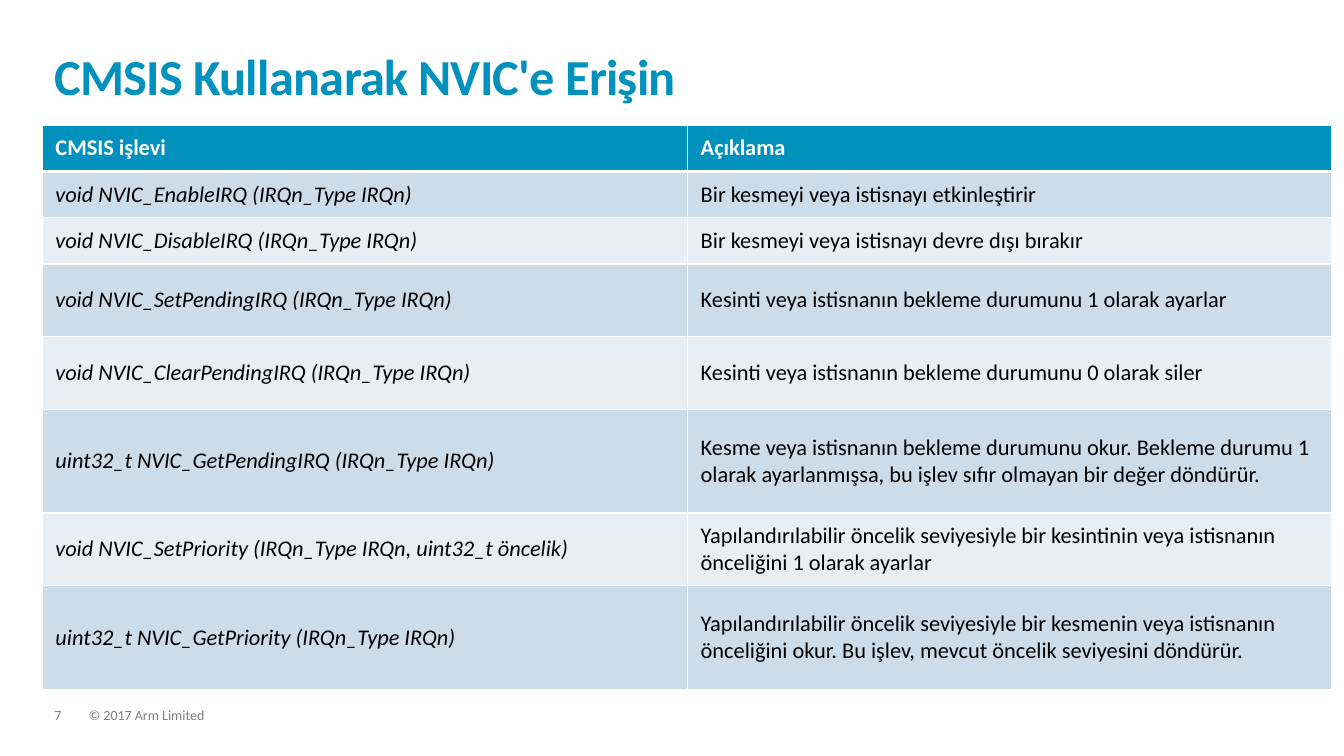
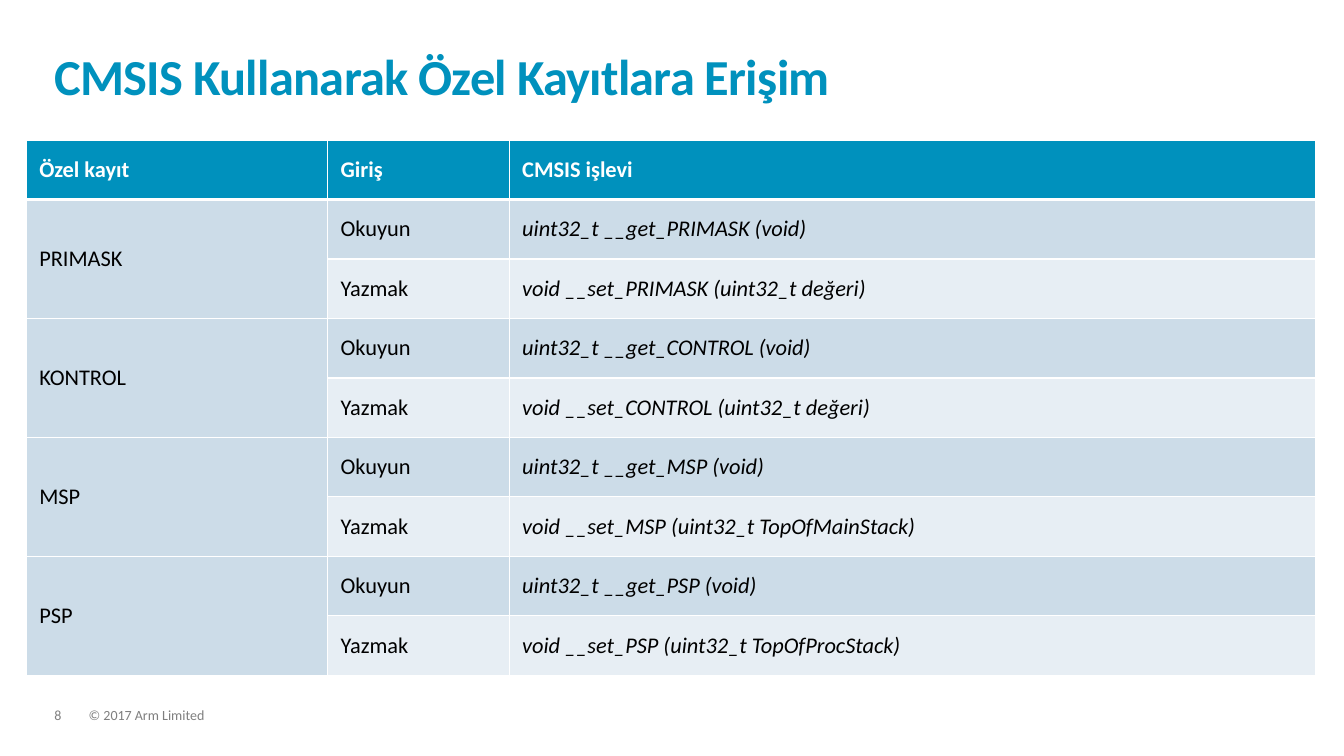
import pptx
import pptx.dml.color
import pptx.enum.text
import pptx.oxml.ns
import pptx.util
from lxml import etree

RGB = pptx.dml.color.RGBColor
ANCHOR = pptx.enum.text.MSO_ANCHOR
BLUE = RGB(0x00, 0x91, 0xBD)
BAND_DARK = RGB(0xCC, 0xDC, 0xE8)
BAND_LIGHT = RGB(0xE7, 0xEE, 0xF4)
GREY = RGB(0x7F, 0x7F, 0x7F)
BLACK = RGB(0x00, 0x00, 0x00)
WHITE = RGB(0xFF, 0xFF, 0xFF)
FONT = "Calibri"
PX = 9144
SLIDE_BOX = (0, 0, 1333, 750)
COPYRIGHT = "© 2017 Arm Limited"

NVIC_ROWS = [
    ("CMSIS işlevi", "Açıklama"),
    ("void NVIC_EnableIRQ (IRQn_Type IRQn)", "Bir kesmeyi veya istisnayı etkinleştirir"),
    ("void NVIC_DisableIRQ (IRQn_Type IRQn)", "Bir kesmeyi veya istisnayı devre dışı bırakır"),
    ("void NVIC_SetPendingIRQ (IRQn_Type IRQn)",
     "Kesinti veya istisnanın bekleme durumunu 1 olarak ayarlar"),
    ("void NVIC_ClearPendingIRQ (IRQn_Type IRQn)",
     "Kesinti veya istisnanın bekleme durumunu 0 olarak siler"),
    ("uint32_t NVIC_GetPendingIRQ (IRQn_Type IRQn)",
     "Kesme veya istisnanın bekleme durumunu okur. Bekleme durumu 1 olarak "
     "ayarlanmışsa, bu işlev sıfır olmayan bir değer döndürür."),
    ("void NVIC_SetPriority (IRQn_Type IRQn, uint32_t öncelik)",
     "Yapılandırılabilir öncelik seviyesiyle bir kesintinin veya istisnanın "
     "önceliğini 1 olarak ayarlar"),
    ("uint32_t NVIC_GetPriority (IRQn_Type IRQn)",
     "Yapılandırılabilir öncelik seviyesiyle bir kesmenin veya istisnanın "
     "önceliğini okur. Bu işlev, mevcut öncelik seviyesini döndürür."),
]
REGISTER_HEADER = ("Özel kayıt", "Giriş", "CMSIS işlevi")
REGISTERS = [
    ("PRIMASK", "uint32_t __get_PRIMASK (void)", "void __set_PRIMASK (uint32_t değeri)"),
    ("KONTROL", "uint32_t __get_CONTROL (void)", "void __set_CONTROL (uint32_t değeri)"),
    ("MSP", "uint32_t __get_MSP (void)", "void __set_MSP (uint32_t TopOfMainStack)"),
    ("PSP", "uint32_t __get_PSP (void)", "void __set_PSP (uint32_t TopOfProcStack)"),
]


def px(n):
    """Turn px into EMU."""
    return pptx.util.Emu(n * PX)


def put_text(tf, text, size=16, color=BLACK, bold=False, italic=False,
             line=None, after=None, spacing=None):
    """Write one formatted paragraph into a text frame."""
    p = tf.paragraphs[0]
    if line is not None:
        p.line_spacing = line
    if after is not None:
        p.space_after = pptx.util.Pt(after)
    r = p.add_run()
    r.text = text
    r.font.name = FONT
    r.font.size = pptx.util.Pt(size)
    r.font.bold = bold
    r.font.italic = italic
    r.font.color.rgb = color
    if spacing is not None:
        r.font._element.set("spc", str(int(spacing * 100)))


def add_text(s, box, text, anchor=ANCHOR.TOP, **fmt):
    """Add a text box without margins."""
    sp = s.shapes.add_textbox(*map(px, box))
    tf = sp.text_frame
    tf.word_wrap = True
    tf.margin_left = tf.margin_top = tf.margin_right = tf.margin_bottom = 0
    tf.vertical_anchor = anchor
    put_text(tf, text, **fmt)


def set_borders(cell, top=1, bottom=1):
    """Give a cell white borders, with widths in points."""
    tc_pr = cell._tc.get_or_add_tcPr()
    for side, width in (("L", 1), ("R", 1), ("T", top), ("B", bottom)):
        ln = etree.SubElement(tc_pr, pptx.oxml.ns.qn("a:ln" + side),
                              w=str(pptx.util.Pt(width)))
        fill = etree.SubElement(ln, pptx.oxml.ns.qn("a:solidFill"))
        etree.SubElement(fill, pptx.oxml.ns.qn("a:srgbClr"), val=str(WHITE))


def add_grid(s, left, top, widths, heights, rows, code_col):
    """Add a banded table with a header row and one column of code."""
    table = s.shapes.add_table(len(rows), len(widths), px(left), px(top),
                               px(sum(widths)), px(sum(heights))).table
    table.horz_banding = False
    for col, width in zip(table.columns, widths):
        col.width = px(width)
    for row, height in zip(table.rows, heights):
        row.height = px(height)
    for i, texts in enumerate(rows):
        header = i == 0
        band = BLUE if header else (BAND_LIGHT, BAND_DARK)[i % 2]
        for j, text in enumerate(texts):
            cell = table.cell(i, j)
            cell.margin_left = cell.margin_right = px(13)
            cell.margin_top = cell.margin_bottom = px(5)
            cell.vertical_anchor = ANCHOR.MIDDLE
            set_borders(cell, top=3 if i == 1 else 1, bottom=3 if header else 1)
            cell.fill.solid()
            cell.fill.fore_color.rgb = band
            if text:
                put_text(cell.text_frame, text, color=WHITE if header else BLACK,
                         bold=header, italic=not header and j == code_col)
    return table


def add_footer(s, box, number):
    """Place the slide number and the copyright line."""
    left, top, width, height = box
    number_width = 34
    fmt = dict(size=10, color=GREY, line=0.9, after=6)
    add_text(s, (left, top, number_width, height), str(number), **fmt)
    add_text(s, (left + number_width, top, width - number_width, height), COPYRIGHT, **fmt)


def add_frame(prs, box, title, number):
    """Add a blank slide with its title and footer."""
    left, top, width, height = box
    s = prs.slides.add_slide(prs.slide_layouts[6])
    add_footer(s, (left + 54, top + height - 47, 947, 15), number)
    add_text(s, (left + 54, top + 32, width - 110, 73), title, anchor=ANCHOR.BOTTOM,
             size=36, color=BLUE, bold=True, line=0.85, spacing=-0.5)
    return s


def add_nvic_slide(prs, box):
    """Build the slide of NVIC functions."""
    s = add_frame(prs, box, "CMSIS Kullanarak NVIC'e Erişin", 7)
    heights = [46, 46, 46, 72, 72, 103, 72, 103]
    add_grid(s, box[0] + 42, box[1] + 124, [640, 639], heights, NVIC_ROWS, code_col=0)


def add_register_slide(prs, box):
    """Build the slide of special registers, two rows to each."""
    s = add_frame(prs, box, "CMSIS Kullanarak Özel Kayıtlara Erişim", 8)
    rows = [REGISTER_HEADER]
    for name, getter, setter in REGISTERS:
        rows += [(name, "Okuyun", getter), ("", "Yazmak", setter)]
    table = add_grid(s, box[0] + 26, box[1] + 139, [299, 180, 800],
                     [59] * len(rows), rows, code_col=2)
    for i in range(1, len(rows), 2):
        table.cell(i, 0).merge(table.cell(i + 1, 0))


def main():
    """Build and save the presentation."""
    prs = pptx.Presentation()
    prs.slide_width, prs.slide_height = map(px, SLIDE_BOX[2:])
    add_nvic_slide(prs, SLIDE_BOX)
    add_register_slide(prs, SLIDE_BOX)
    prs.save("out.pptx")


if __name__ == "__main__":
    main()
